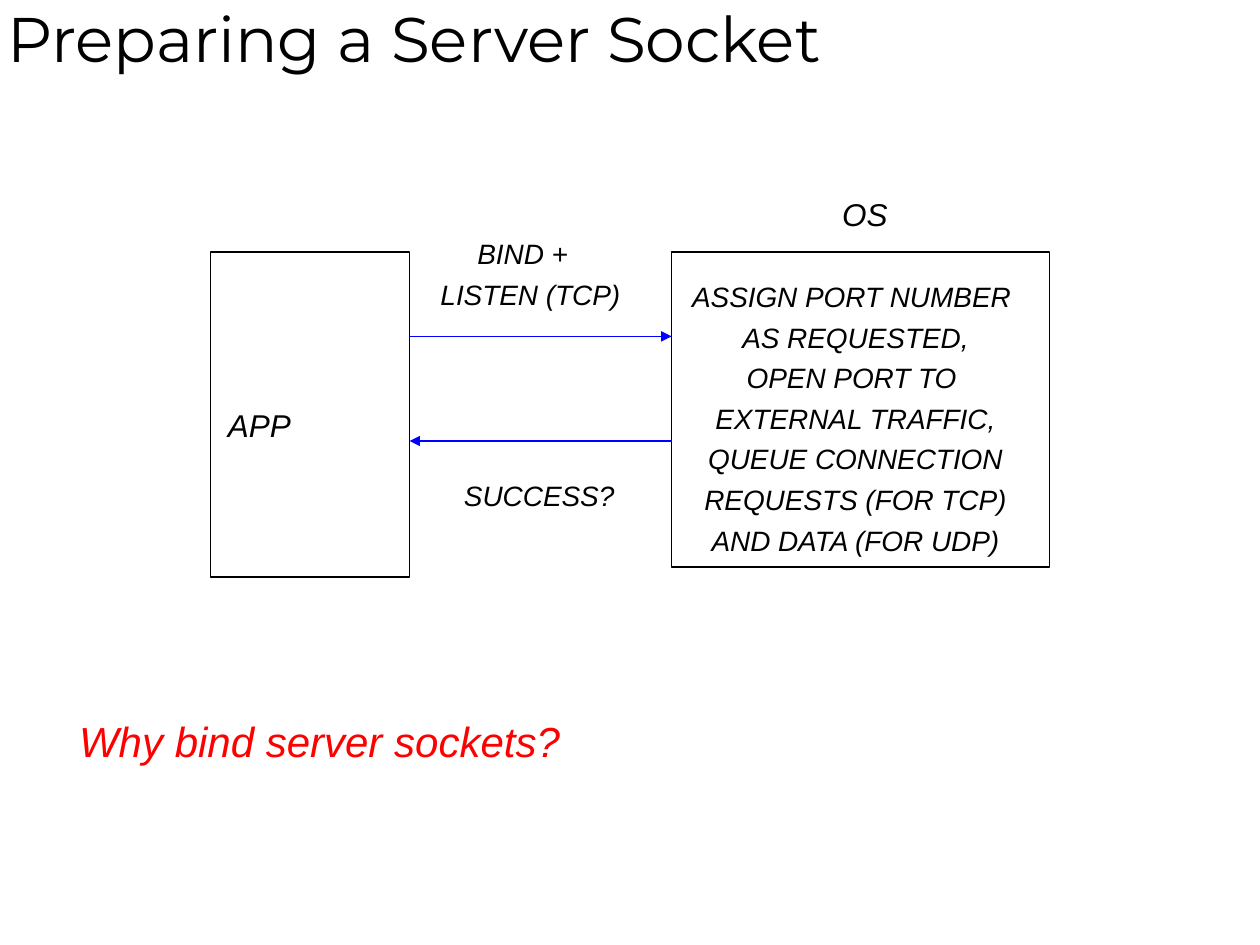
from pptx import Presentation
from pptx.dml.color import RGBColor
from pptx.enum.shapes import MSO_CONNECTOR, MSO_SHAPE
from pptx.enum.text import MSO_ANCHOR, MSO_AUTO_SIZE, PP_ALIGN
from pptx.oxml.ns import qn
from pptx.util import Inches, Pt
from lxml.etree import SubElement

COLORS = {"text": "000000", "outline": "000000", "arrow": "0000FF", "question": "FF0000"}


def color(name):
    return RGBColor.from_string(COLORS[name])


def format_run(run, font, size, color_name, italic):
    run.font.name = font
    run.font.size = Pt(size)
    run.font.italic = italic
    run.font.color.rgb = color(color_name)


def add_title(slide, box, text):
    title = slide.shapes.title
    title.left, title.top, title.width, title.height = map(Inches, box)
    frame = title.text_frame
    frame.text = text
    frame.auto_size = MSO_AUTO_SIZE.NONE
    frame.vertical_anchor = MSO_ANCHOR.MIDDLE
    frame.margin_left = frame.margin_right = Inches(0.06)
    paragraph = frame.paragraphs[0]
    paragraph.alignment = PP_ALIGN.LEFT
    format_run(paragraph.runs[0], "Montserrat", 36, "text", False)


def add_label(slide, box, text, size, align=PP_ALIGN.CENTER, color_name="text", wrap=False):
    frame = slide.shapes.add_textbox(*map(Inches, box)).text_frame
    frame.word_wrap = wrap
    frame.auto_size = MSO_AUTO_SIZE.SHAPE_TO_FIT_TEXT
    frame.text = text
    for paragraph in frame.paragraphs:
        paragraph.alignment = align
        paragraph.space_before = Pt(size / 4)
        # Hanging indent
        properties = paragraph._p.get_or_add_pPr()
        properties.set("marL", str(Inches(0.38)))
        properties.set("indent", str(-Inches(0.38)))
        format_run(paragraph.runs[0], "Arial", size, color_name, True)


def add_frame(slide, box):
    shape = slide.shapes.add_shape(MSO_SHAPE.RECTANGLE, *map(Inches, box))
    shape.shadow.inherit = False
    shape.fill.background()
    shape.line.color.rgb = color("outline")
    shape.line.width = Pt(0.75)


def add_arrow(slide, start, end, y):
    arrow = slide.shapes.add_connector(
        MSO_CONNECTOR.STRAIGHT, Inches(start), Inches(y), Inches(end), Inches(y))
    arrow.line.color.rgb = color("arrow")
    arrow.line.width = Pt(0.75)
    SubElement(arrow.line._get_or_add_ln(), qn("a:tailEnd"), type="triangle")
    SubElement(arrow._element.spPr, qn("a:effectLst"))


def add_app(slide, box):
    left, top, width, _ = box
    add_frame(slide, box)
    add_label(slide, (left + 0.04, top + 1.17, width - 0.13, 0.4), "APP", 18, PP_ALIGN.LEFT)


def add_operating_system(slide, box):
    left, top, width, _ = box
    add_frame(slide, box)
    add_label(slide, (left + 0.88, top - 0.5, 1.31, 0.4), "OS", 18)
    steps = [
        "ASSIGN PORT NUMBER ",
        "AS REQUESTED,",
        "OPEN PORT TO ",
        "EXTERNAL TRAFFIC,",
        "QUEUE CONNECTION",
        "REQUESTS (FOR TCP)",
        "AND DATA (FOR UDP)",
    ]
    add_label(slide, (left, top + 0.17, width - 0.08, 2.3), "\n".join(steps), 16, wrap=True)


def add_exchange(slide, box):
    left, top, width, _ = box
    right = left + width
    # Request to the operating system
    add_arrow(slide, left, right, top + 0.67)
    add_label(slide, (left - 0.29, top - 0.17, 2.44, 0.69), "BIND + \n LISTEN (TCP)", 16)
    # Reply to the app
    add_arrow(slide, right, left, top + 1.5)
    add_label(slide, (left - 0.04, top + 1.75, 2.14, 0.37), "SUCCESS?", 16)


def main():
    presentation = Presentation()
    presentation.slide_width = Inches(10)
    presentation.slide_height = Inches(7.5)
    slide = presentation.slides.add_slide(presentation.slide_layouts[5])

    add_title(slide, (0, -0.08, 10, 0.75), "Preparing a Server Socket")
    add_operating_system(slide, (5.33, 2, 3, 2.5))
    add_app(slide, (1.67, 2, 1.58, 2.58))
    add_exchange(slide, (3.25, 2, 2.08, 2.5))
    add_label(slide, (0.53, 5.63, 4.76, 0.5), "Why bind server sockets?", 24,
              PP_ALIGN.LEFT, "question")
    presentation.save("out.pptx")


if __name__ == "__main__":
    main()
